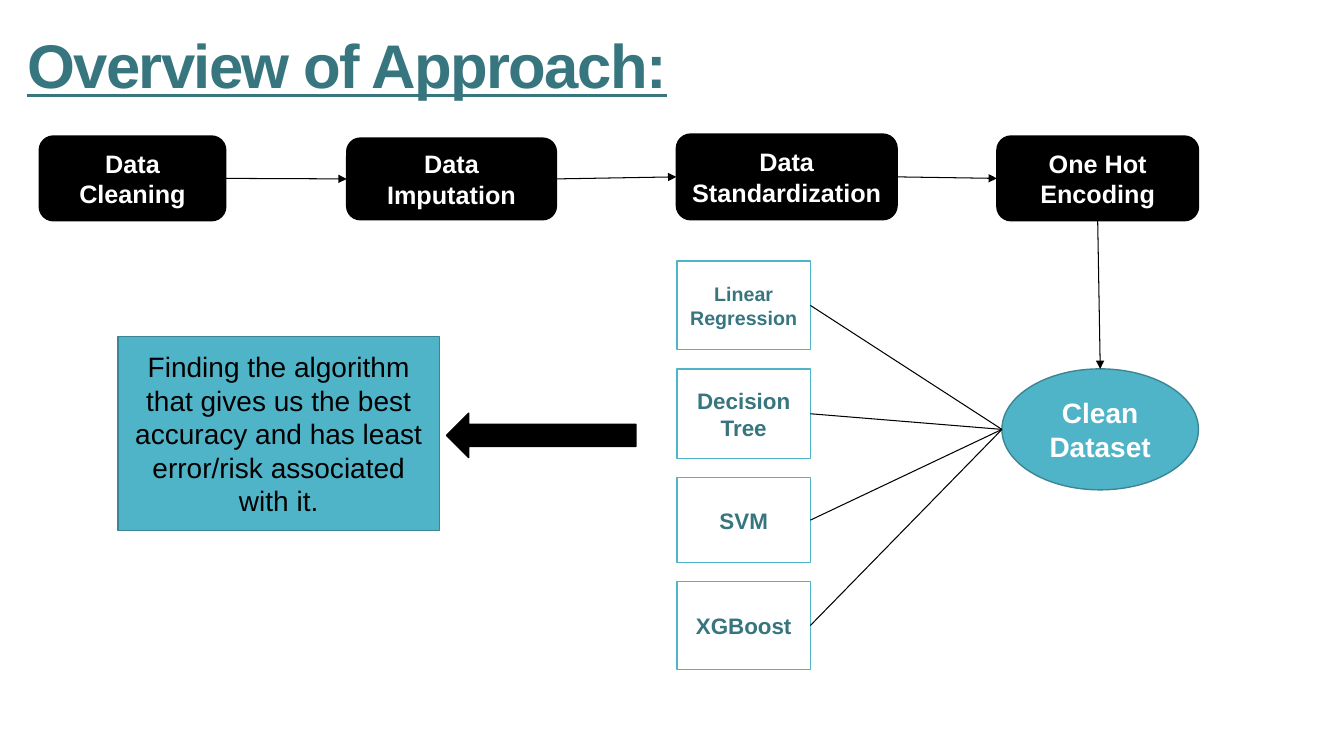
from pptx import Presentation, util as u
from pptx.dml.color import RGBColor
from pptx.enum import shapes, text
from pptx.oxml.ns import qn
from lxml import etree

BLACK, WHITE, TEAL, CYAN, CYAN_EDGE = "000000", "FFFFFF", "37757F", "50B4C8", "3B8594"
KIND = shapes.MSO_SHAPE


def color(hex_string):
    return RGBColor.from_string(hex_string)


def add_box(kind, cells, fill, edge, words="", size=18, ink=WHITE, bold=True):
    left, top, width, height = cells
    shape = slide.shapes.add_shape(kind, int(left * column), int(top * row),
                                   int(width * column), int(height * row))
    shape.shadow.inherit = False
    shape.fill.solid()
    shape.fill.fore_color.rgb = color(fill)
    shape.line.color.rgb = color(edge)
    shape.line.width = u.Pt(1)
    if words:
        shape.text_frame.word_wrap = True
        shape.text_frame.vertical_anchor = text.MSO_ANCHOR.MIDDLE
        paragraph = shape.text_frame.paragraphs[0]
        paragraph.alignment = text.PP_ALIGN.CENTER
        run = paragraph.add_run()
        run.text = words
        run.font.name, run.font.size, run.font.bold = "Arial", u.Pt(size), bold
        run.font.color.rgb = color(ink)
    return shape


presentation = Presentation()
presentation.slide_width, presentation.slide_height = u.Inches(13.33), u.Inches(7.5)
slide = presentation.slides.add_slide(presentation.slide_layouts[5])

# Grid of 40 columns by 30 rows
column = presentation.slide_width / 40
row = presentation.slide_height / 30

# Title
title = slide.shapes.title
title.left, title.top = int(0.51 * column), int(0.96 * row)
title.width, title.height = int(37 * column), int(3.64 * row)
title.text_frame.vertical_anchor = text.MSO_ANCHOR.MIDDLE
paragraph = title.text_frame.paragraphs[0]
paragraph.alignment = text.PP_ALIGN.LEFT
paragraph.line_spacing = 0.85
run = paragraph.add_run()
run.text = "Overview of Approach:"
run.font.name, run.font.size = "Arial", u.Pt(44)
run.font.bold = run.font.underline = True
run.font.color.rgb = color(TEAL)
run.font._element.set("spc", "-120")

# Preparation steps
steps = [add_box(KIND.ROUNDED_RECTANGLE, cells, BLACK, BLACK, words) for words, cells in (
    ("Data Cleaning", (1.17, 5.4, 5.55, 3.36)),
    ("Data Imputation", (10.32, 5.48, 6.24, 3.24)),
    ("Data Standardization", (20.13, 5.32, 6.57, 3.4)),
    ("One Hot Encoding", (29.67, 5.4, 6, 3.36)))]

# Clean dataset
dataset = add_box(KIND.OVAL, (29.82, 14.64, 5.85, 4.8), CYAN, CYAN_EDGE, "Clean Dataset", 20)

# Algorithms
algorithms = [add_box(KIND.RECTANGLE, (20.15, top, 3.97, height), WHITE, CYAN, words, size, TEAL)
              for words, top, height, size in (
                  ("Linear Regression", 10.36, 3.52, 14),
                  ("Decision Tree", 14.64, 3.56, 16),
                  ("SVM", 18.96, 3.36, 16),
                  ("XGBoost", 23.08, 3.48, 16))]

# Goal and the arrow towards it
add_box(KIND.FLOWCHART_PROCESS, (3.51, 13.36, 9.57, 7.68), CYAN, CYAN_EDGE,
        "Finding the algorithm that gives us the best accuracy and has least "
        "error/risk associated with it.", 20, BLACK, False)
add_box(KIND.LEFT_ARROW, (13.29, 16.4, 5.64, 1.76), BLACK, BLACK)

# Links: start shape and side, end shape and side, arrowhead
links = [(a, (1, 0.5), b, (0, 0.5), True) for a, b in zip(steps, steps[1:])]
links.append((steps[-1], (0.5, 1), dataset, (0.5, 0), True))
links += [(dataset, (0, 0.5), box, (1, 0.5), False) for box in algorithms]
for start, start_side, end, end_side, has_arrow in links:
    points = [int(value) for shape, (across, down) in ((start, start_side), (end, end_side))
              for value in (shape.left + across * shape.width, shape.top + down * shape.height)]
    connector = slide.shapes.add_connector(shapes.MSO_CONNECTOR.STRAIGHT, *points)
    connector.line.color.rgb = color(BLACK)
    connector.line.width = u.Pt(0.75)
    if has_arrow:
        etree.SubElement(connector.line._get_or_add_ln(), qn("a:tailEnd"), type="triangle")
    etree.SubElement(connector._element.spPr, qn("a:effectLst"))

presentation.save("out.pptx")
